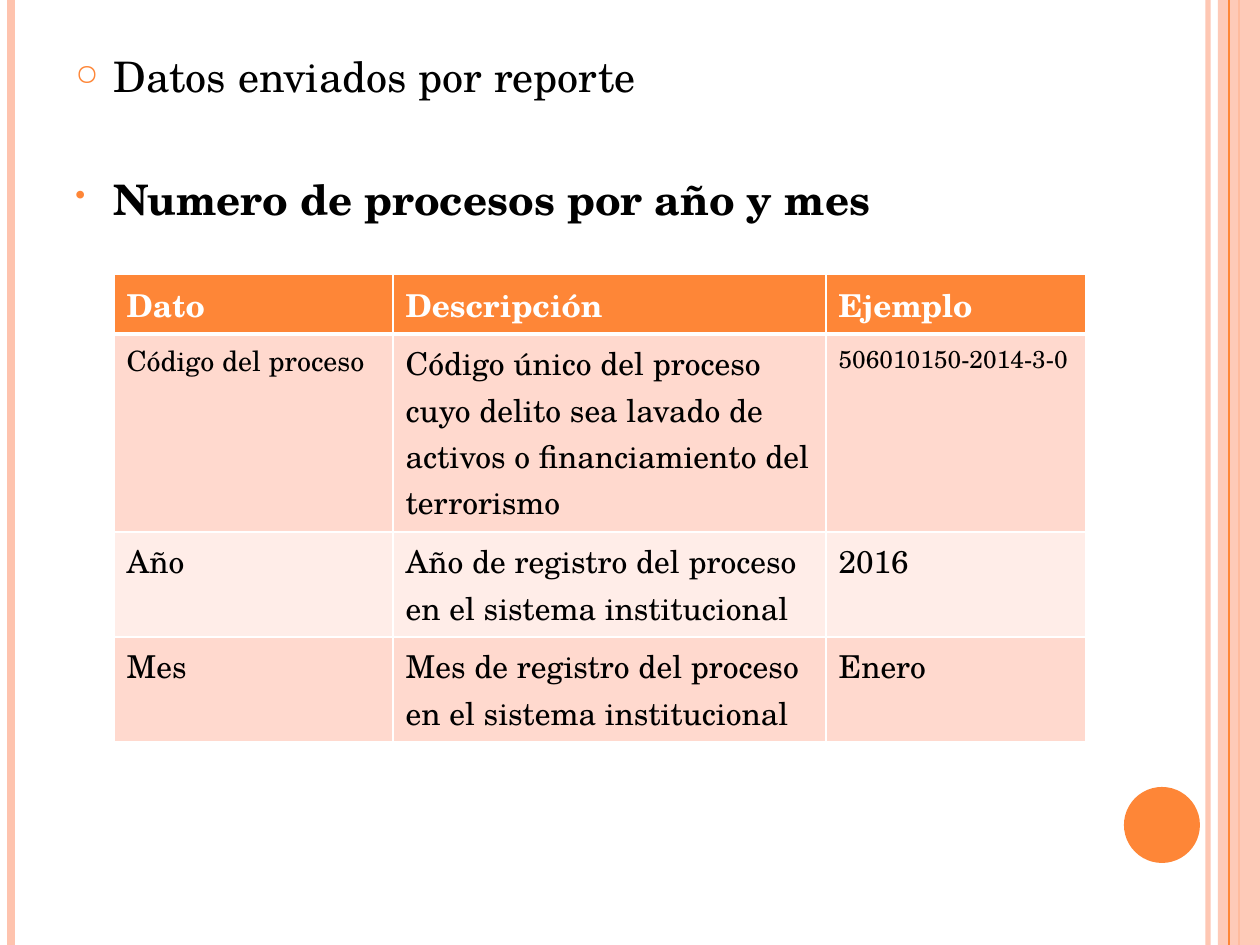
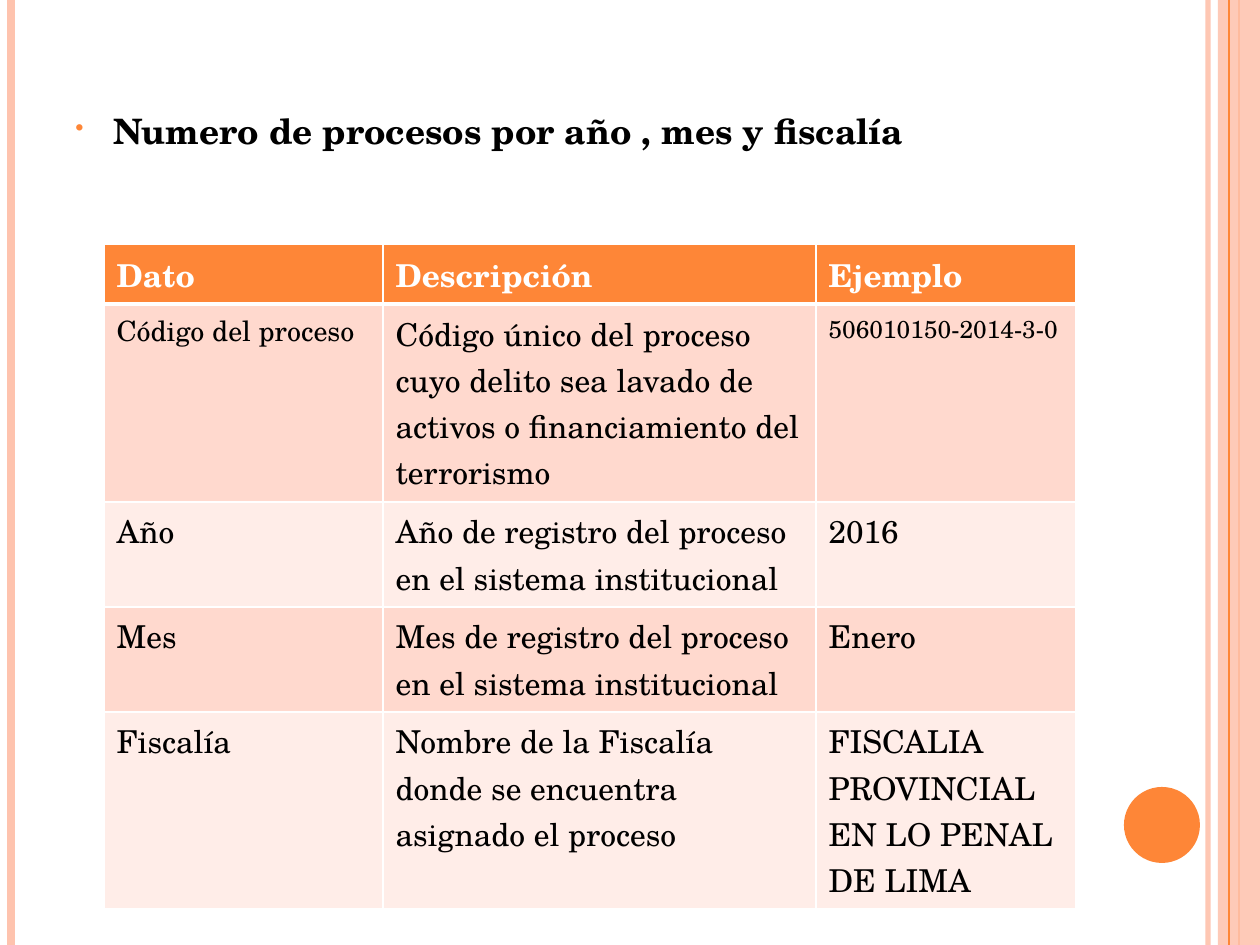
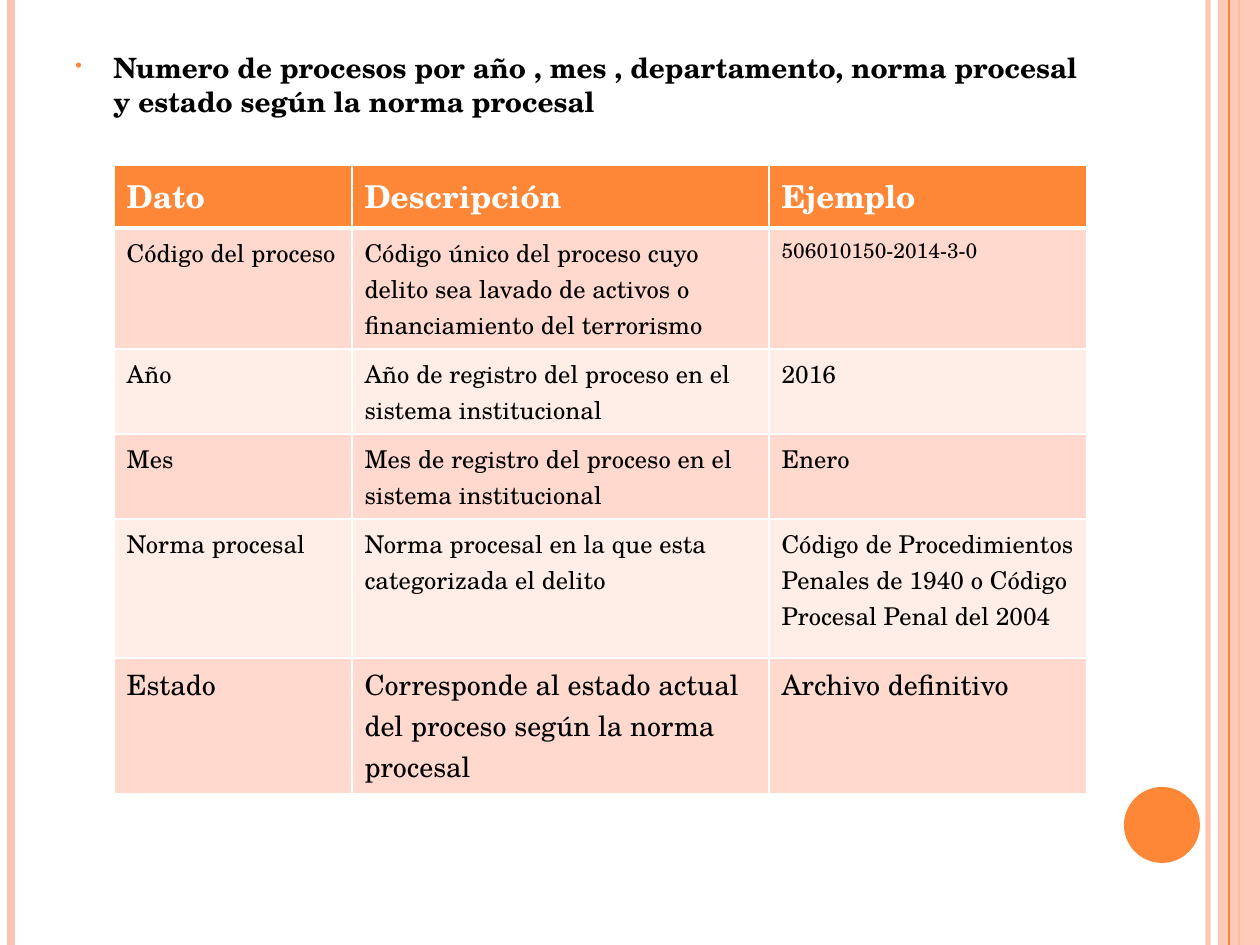
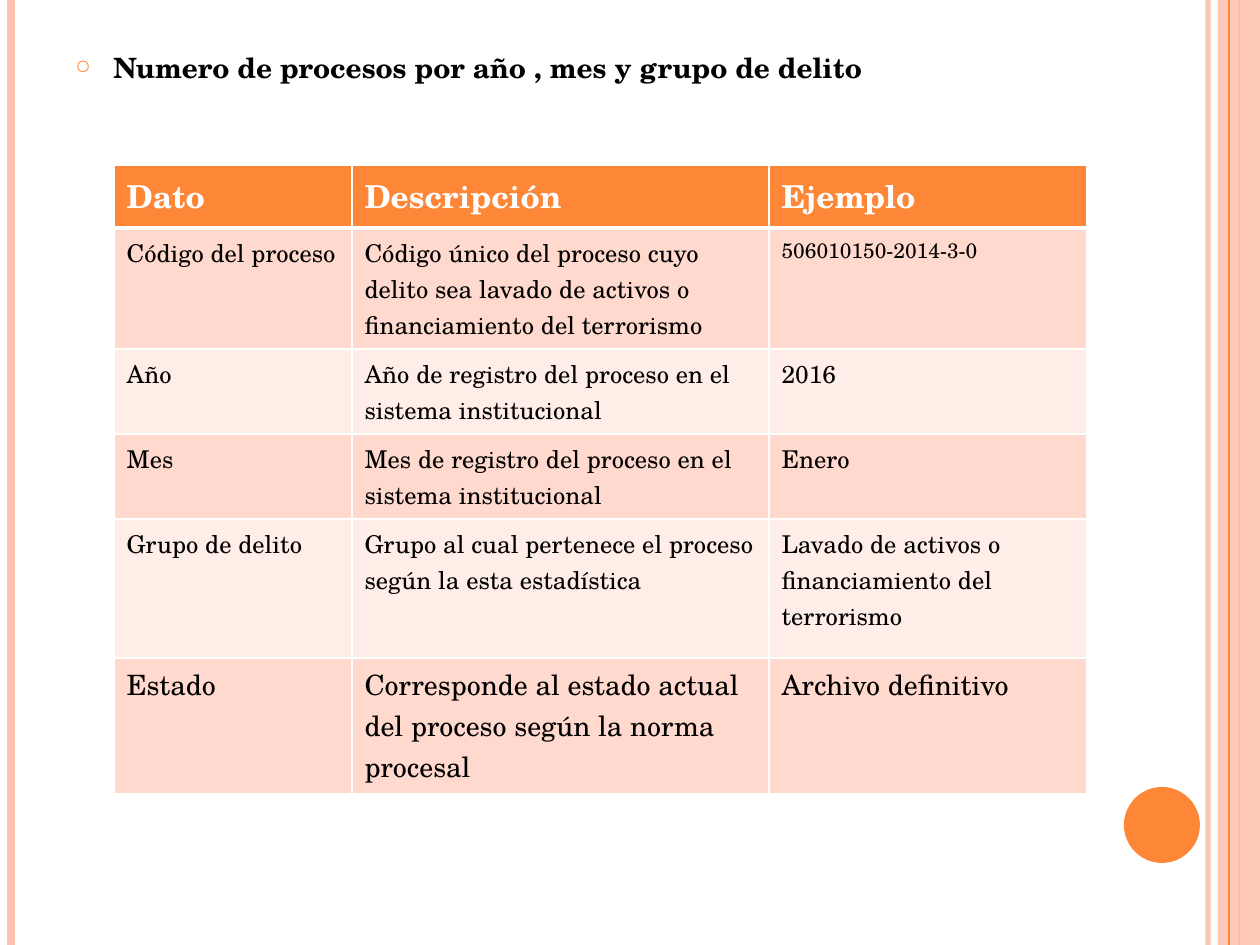
from lxml.etree import SubElement
from pptx import Presentation
from pptx.dml.color import RGBColor
from pptx.enum.shapes import MSO_CONNECTOR as Connector, MSO_SHAPE as Shape
from pptx.oxml.ns import qn
from pptx.util import Emu, Pt

SCALE = 914400 / 126
PAGE_WIDTH, PAGE_HEIGHT = 1260, 945
FONT = "TeX Gyre Schola"
ORANGE, PEACH = "FE8637", "FEC3AE"
ROW_TINTS = ("FFD9CE", "FFEDE8")
BLACK, WHITE = "000000", "FFFFFF"

HEADER = ("Dato", "Descripción", "Ejemplo")
CODE_ROW = (
    "Código del proceso",
    "Código único del proceso cuyo delito sea lavado de activos o financiamiento del terrorismo",
    "506010150-2014-3-0",
)
YEAR_ROW = ("Año", "Año de registro del proceso en el sistema institucional", "2016")
MONTH_ROW = ("Mes", "Mes de registro del proceso en el sistema institucional", "Enero")
OFFICE_ROW = (
    "Fiscalía",
    "Nombre de la Fiscalía donde se encuentra asignado el proceso",
    "FISCALIA PROVINCIAL EN LO PENAL DE LIMA",
)
RULE_ROW = (
    "Norma procesal",
    "Norma procesal en la que esta categorizada el delito",
    "Código de Procedimientos Penales de 1940 o Código Procesal Penal del 2004",
)
GROUP_ROW = (
    "Grupo de delito",
    "Grupo al cual pertenece el proceso según la esta estadística",
    "Lavado de activos o financiamiento del terrorismo",
)
STATE_ROW = (
    "Estado",
    "Corresponde al estado actual del proceso según la norma procesal",
    "Archivo definitivo",
)
COMMON_ROWS = [CODE_ROW, YEAR_ROW, MONTH_ROW]

LARGE = {
    "columns": (279, 433, 260),
    "row_heights": (60, 198, 105, 105, 197),
    "size": 18,
    "sizes": {CODE_ROW: (16, 18, 14)},
}
COMPACT = {
    "left": 114,
    "top": 165,
    "columns": (238, 417, 318),
    "row_heights": (63, 121, 85, 85, 139, 136),
    "size": 14,
    "sizes": {CODE_ROW: (14, 14, 12), STATE_ROW: (16, 16, 16)},
}


def px(length):
    return Emu(round(length * SCALE))


def color(value):
    return RGBColor.from_string(value)


def set_alpha(fill_owner, percent):
    tint = next(fill_owner.iter(qn("a:srgbClr")))
    SubElement(tint, qn("a:alpha"), val=str(percent * 1000))


def write(para, text, size=18, bold=False, ink=BLACK):
    span = para.add_run()
    span.text = text
    span.font.name = FONT
    span.font.size = Pt(size)
    span.font.bold = bold
    span.font.color.rgb = color(ink)


def add_stripe(page, x, width, ink, alpha=100):
    stripe = page.shapes.add_connector(Connector.STRAIGHT, px(x), 0, px(x), px(PAGE_HEIGHT))
    stripe.line.color.rgb = color(ink)
    stripe.line.width = Pt(width)
    properties = stripe.line._get_or_add_ln().getparent()
    SubElement(properties, qn("a:effectLst"))
    if alpha < 100:
        set_alpha(properties, alpha)


def add_solid(page, kind, left, top, width, height, ink, alpha=100):
    solid = page.shapes.add_shape(kind, px(left), px(top), px(width), px(height))
    solid.shadow.inherit = False
    solid.fill.solid()
    solid.fill.fore_color.rgb = color(ink)
    solid.line.fill.background()
    if alpha < 100:
        set_alpha(solid.fill._xPr, alpha)


def add_page(deck):
    page = deck.slides.add_slide(deck.slide_layouts[6])
    add_stripe(page, 1208, 3, PEACH, alpha=93)
    add_stripe(page, 11, 4.5, PEACH)
    add_stripe(page, 1239, 1.5, ORANGE)
    add_solid(page, Shape.RECTANGLE, 1218, 0, 42, PAGE_HEIGHT, PEACH, alpha=87)
    add_stripe(page, 1229, 0.75, ORANGE)
    add_solid(page, Shape.OVAL, 1124, 787, 76, 76, ORANGE)
    return page


def set_bullet(para, mark):
    properties = para._p.get_or_add_pPr()
    properties.set("marL", str(px(38)))
    properties.set("indent", str(px(-38)))
    bullet_color = SubElement(properties, qn("a:buClr"))
    SubElement(bullet_color, qn("a:srgbClr"), val=ORANGE)
    SubElement(properties, qn("a:buSzPct"), val="70000")
    SubElement(properties, qn("a:buChar"), char=mark)


def add_headings(page, *headings, inset=6):
    box = page.shapes.add_textbox(px(63), px(45), px(1029), px(847))
    frame = box.text_frame
    frame.word_wrap = True
    frame.margin_top = px(inset)
    for index, (mark, text, size, bold, gap) in enumerate(headings):
        para = frame.add_paragraph() if index else frame.paragraphs[0]
        para.space_before = Pt(gap)
        set_bullet(para, mark)
        write(para, text, size=size, bold=bold)


def set_borders(cell, bottom):
    properties = cell._tc.get_or_add_tcPr()
    for position, (side, width) in enumerate((("L", 1), ("R", 1), ("T", 1), ("B", bottom))):
        border = properties.makeelement(qn(f"a:ln{side}"), {"w": str(Pt(width))})
        fill = SubElement(border, qn("a:solidFill"))
        SubElement(fill, qn("a:srgbClr"), val=WHITE)
        properties.insert(position, border)


def fill_cell(cell, text, fill, bottom=1, **text_format):
    cell.fill.solid()
    cell.fill.fore_color.rgb = color(fill)
    set_borders(cell, bottom)
    write(cell.text_frame.paragraphs[0], text, **text_format)


def add_data_table(page, rows, left, top, columns, row_heights, size, sizes):
    heights = row_heights[:len(rows) + 1]
    frame = page.shapes.add_table(
        len(heights), len(columns), px(left), px(top), px(sum(columns)), px(sum(heights))
    )
    table = frame.table
    for column, width in zip(table.columns, columns):
        column.width = px(width)
    for row, height in zip(table.rows, heights):
        row.height = px(height)
    for column, text in enumerate(HEADER):
        fill_cell(table.cell(0, column), text, ORANGE, bottom=3, bold=True, ink=WHITE)
    for index, row in enumerate(rows):
        row_sizes = sizes.get(row, (size,) * len(row))
        for column, (text, text_size) in enumerate(zip(row, row_sizes)):
            fill_cell(table.cell(index + 1, column), text, ROW_TINTS[index % 2], size=text_size)


def main():
    deck = Presentation()
    deck.slide_width, deck.slide_height = px(PAGE_WIDTH), px(PAGE_HEIGHT)

    page = add_page(deck)
    add_headings(
        page,
        ("○", "Datos enviados por reporte", 24, False, 6),
        ("•", "Numero de procesos por año y mes", 24, True, 41),
    )
    add_data_table(page, COMMON_ROWS, 114, 274, **LARGE)

    page = add_page(deck)
    title = "Numero de procesos por año , mes y fiscalía"
    add_headings(page, ("•", title, 20, True, 6), inset=65)
    add_data_table(page, COMMON_ROWS + [OFFICE_ROW], 104, 244, **LARGE)

    page = add_page(deck)
    title = "Numero de procesos por año , mes , departamento, norma procesal y estado según la norma procesal"
    add_headings(page, ("•", title, 16, True, 6))
    add_data_table(page, COMMON_ROWS + [RULE_ROW, STATE_ROW], **COMPACT)

    page = add_page(deck)
    title = "Numero de procesos por año , mes y grupo de delito"
    add_headings(page, ("○", title, 16, True, 6))
    add_data_table(page, COMMON_ROWS + [GROUP_ROW, STATE_ROW], **COMPACT)

    deck.save("out.pptx")


if __name__ == "__main__":
    main()
